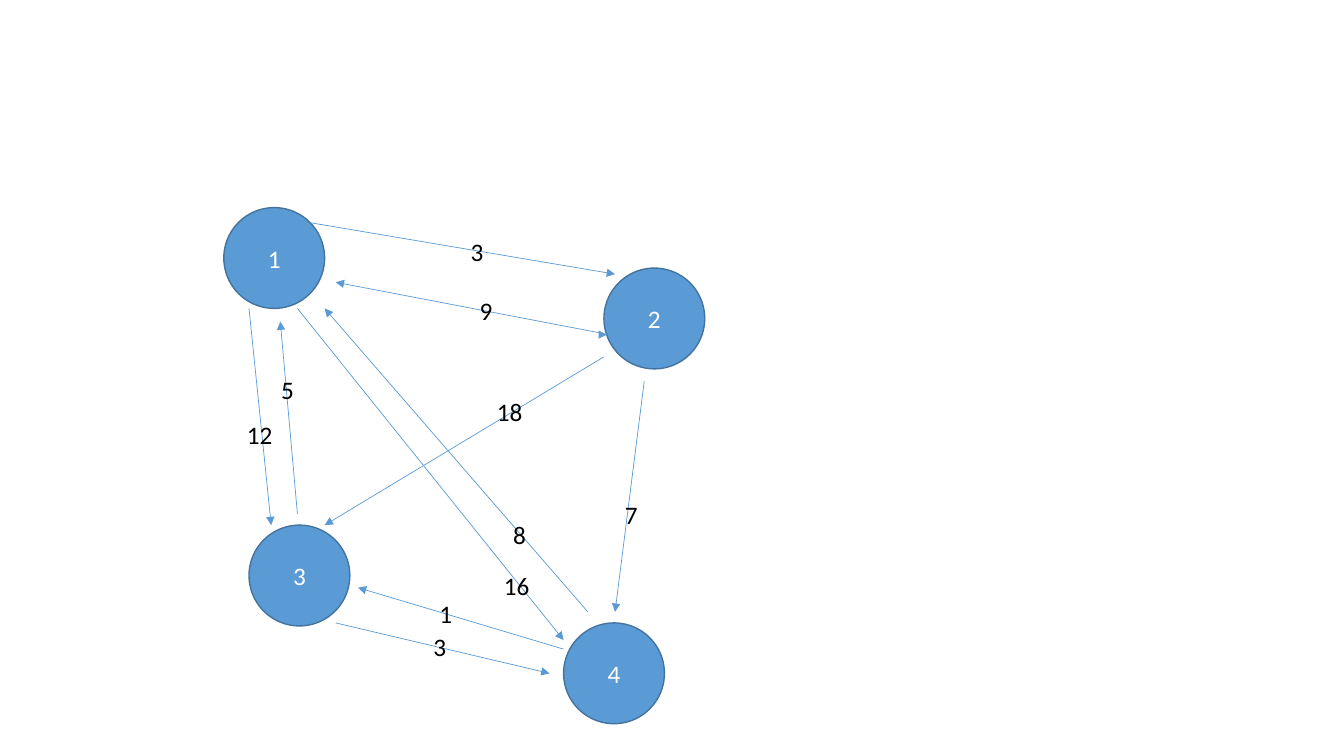
from dataclasses import dataclass

from lxml.etree import SubElement as Sub
from pptx import Presentation
from pptx.dml.color import RGBColor as Rgb
from pptx.enum.shapes import MSO_CONNECTOR as Conn, MSO_SHAPE as Shape
from pptx.enum.text import MSO_ANCHOR as Anchor, MSO_AUTO_SIZE as Fit, PP_ALIGN as Align
from pptx.oxml.ns import qn
from pptx.util import Pt

SCALE = 9144  # EMU per px, 100 px to the inch


@dataclass(frozen=True)
class Theme:
    font: str = "Calibri"
    size: int = 18
    blue: str = "5B9BD5"
    rim: str = "43739E"
    white: str = "FFFFFF"
    black: str = "000000"
    rim_pt: float = 1
    edge_pt: float = 0.5


class Graph:
    def __init__(self, slide, theme):
        self.slide, self.theme = slide, theme

    def px(self, *nums):
        return [n * SCALE for n in nums]

    def letter(self, shape, text, color, align):
        para = shape.text_frame.paragraphs[0]
        para.text = text
        para.alignment = align
        para.font.name = self.theme.font
        para.font.size = Pt(self.theme.size)
        para.font.color.rgb = Rgb.from_string(color)

    def node(self, name, left, top, size=100):
        box = self.px(left, top, size, size)
        disc = self.slide.shapes.add_shape(Shape.OVAL, *box)
        disc.shadow.inherit = False
        disc.fill.solid()
        disc.fill.fore_color.rgb = Rgb.from_string(self.theme.blue)
        disc.line.color.rgb = Rgb.from_string(self.theme.rim)
        disc.line.width = Pt(self.theme.rim_pt)
        disc.text_frame.vertical_anchor = Anchor.MIDDLE
        self.letter(disc, name, self.theme.white, Align.CENTER)

    def arrow(self, start, end):
        edge = self.slide.shapes.add_connector(
            Conn.STRAIGHT, *self.px(*start, *end))
        edge.line.color.rgb = Rgb.from_string(self.theme.blue)
        edge.line.width = Pt(self.theme.edge_pt)
        props = edge._element.spPr
        Sub(props.find(qn("a:ln")), qn("a:tailEnd"), type="triangle")
        Sub(props, qn("a:effectLst"))

    def label(self, text, left, top):
        box = self.px(left, top, 20 + 13 * len(text), 40)
        note = self.slide.shapes.add_textbox(*box)
        note.text_frame.word_wrap = False
        note.text_frame.auto_size = Fit.SHAPE_TO_FIT_TEXT
        self.letter(note, text, self.theme.black, Align.LEFT)


NODES = [("1", 222, 206), ("2", 599, 266), ("4", 559, 618), ("3", 247, 521)]

# Start, end, weight, place of the weight
EDGES = [
    ((308, 221), (610, 272), "3", (457, 230)),
    ((247, 306), (269, 521), "12", (235, 411)),
    ((295, 306), (559, 635), "16", (490, 561)),
    ((599, 331), (333, 280), "9", (466, 288)),
    ((599, 354), (322, 521), "18", (483, 388)),
    ((639, 378), (610, 607), "7", (610, 490)),
    ((295, 510), (278, 319), "5", (269, 366)),
    ((333, 618), (545, 668), "3", (420, 621)),
    ((583, 607), (322, 306), "8", (499, 510)),
    ((559, 644), (355, 583), "1", (426, 589)),
]


def main():
    deck = Presentation()
    deck.slide_width, deck.slide_height = 1333 * SCALE, 750 * SCALE
    graph = Graph(deck.slides.add_slide(deck.slide_layouts[6]), Theme())

    # Nodes
    for node in NODES:
        graph.node(*node)

    # Edges, with the second head of the two-way edge
    for start, end, _, _ in EDGES:
        graph.arrow(start, end)
    graph.arrow((599, 332), (602, 332))

    # Weights
    for _, _, weight, place in EDGES:
        graph.label(weight, *place)

    deck.save("out.pptx")


if __name__ == "__main__":
    main()
